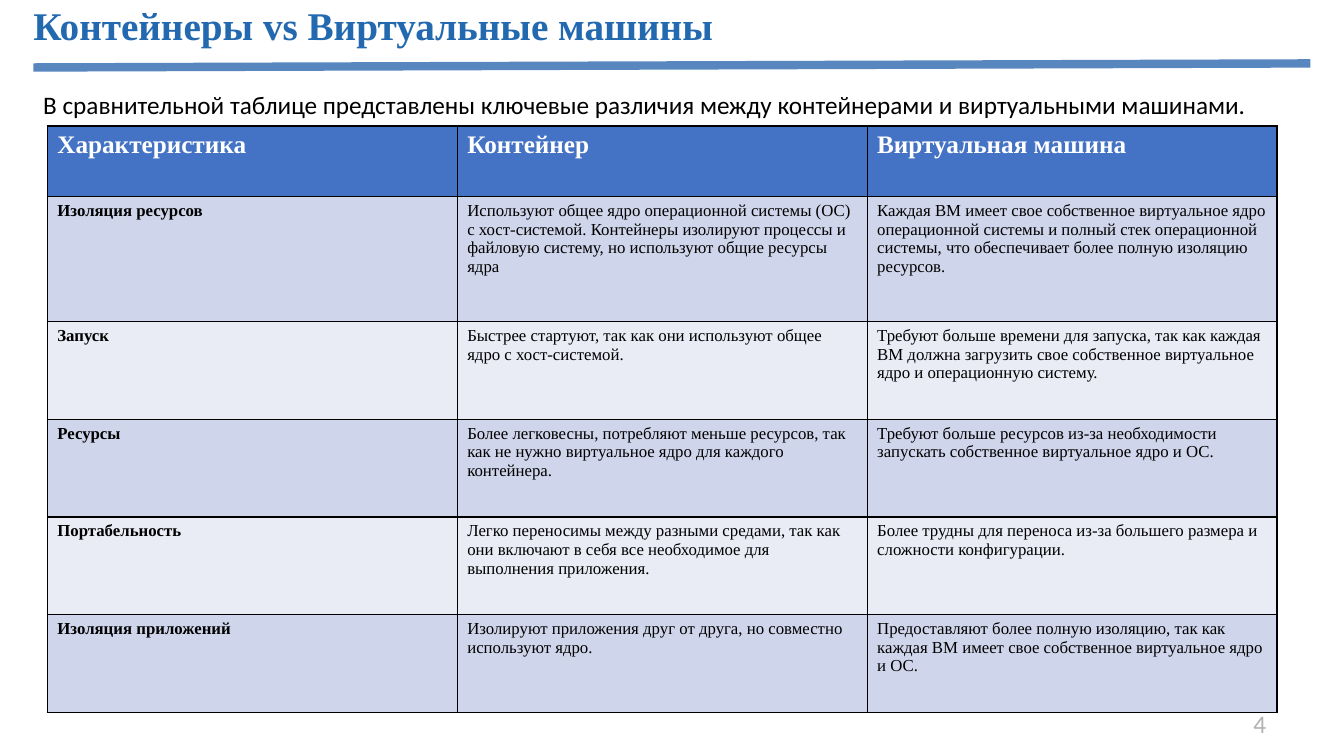
import pptx
import pptx.dml.color
import pptx.enum.shapes
import pptx.enum.text
import pptx.oxml.ns
import pptx.util
from lxml import etree

Pt = pptx.util.Pt
RGBColor = pptx.dml.color.RGBColor
ALIGN = pptx.enum.text.PP_ALIGN

TITLE_BLUE = RGBColor(0x23, 0x69, 0xB0)
RULE_BLUE = RGBColor(0x58, 0x87, 0xC0)
HEADER_BLUE = RGBColor(0x44, 0x72, 0xC4)
BAND_DARK = RGBColor(0xCF, 0xD5, 0xEA)
BAND_LIGHT = RGBColor(0xE9, 0xEB, 0xF5)
NUMBER_GREY = RGBColor(0xB2, 0xB2, 0xB2)
BLACK = RGBColor(0, 0, 0)
WHITE = RGBColor(0xFF, 0xFF, 0xFF)
SERIF, SANS = "Times New Roman", "Calibri"

HEADER_HEIGHT = 50.4
ROW_HEIGHTS = [HEADER_HEIGHT, 89.3, 69.8, 69.8, 69.8, 69.8]
COMPARISON = [
    ("Характеристика", "Контейнер", "Виртуальная машина"),
    ("Изоляция ресурсов",
     "Используют общее ядро операционной системы (ОС) с хост-системой. Контейнеры "
     "изолируют процессы и файловую систему, но используют общие ресурсы ядра",
     "Каждая ВМ имеет свое собственное виртуальное ядро операционной системы и полный "
     "стек операционной системы, что обеспечивает более полную изоляцию ресурсов."),
    ("Запуск",
     "Быстрее стартуют, так как они используют общее ядро с хост-системой.",
     "Требуют больше времени для запуска, так как каждая ВМ должна загрузить свое "
     "собственное виртуальное ядро и операционную систему."),
    ("Ресурсы",
     "Более легковесны, потребляют меньше ресурсов, так как не нужно виртуальное ядро "
     "для каждого контейнера.",
     "Требуют больше ресурсов из-за необходимости запускать собственное виртуальное "
     "ядро и ОС."),
    ("Портабельность",
     "Легко переносимы между разными средами, так как они включают в себя все "
     "необходимое для выполнения приложения.",
     "Более трудны для переноса из-за большего размера и сложности конфигурации."),
    ("Изоляция приложений",
     "Изолируют приложения друг от друга, но совместно используют ядро.",
     "Предоставляют более полную изоляцию, так как каждая ВМ имеет свое собственное "
     "виртуальное ядро и ОС."),
]


def write(frame, text, size, font, color, bold=False):
    frame.text = text
    para = frame.paragraphs[0]
    style = para.runs[0].font
    style.size, style.name, style.bold = Pt(size), font, bold
    style.color.rgb = color
    return para


def add_text(page, box, text, size, font, color, bold=False):
    frame = page.shapes.add_textbox(*map(Pt, box)).text_frame
    frame.word_wrap = True
    return frame, write(frame, text, size, font, color, bold)


def add_heading(page, box):
    """Title at the top of the box and a slightly rising rule at its bottom."""
    left, top, width, height = box
    frame, para = add_text(page, (left, top, 684, 33.8),
                           "Контейнеры vs Виртуальные машины", 28, SERIF, TITLE_BLUE, True)
    frame.margin_left = frame.margin_top = frame.margin_right = frame.margin_bottom = 0
    para.space_before = Pt(7.9)

    bottom = top + height
    rule = page.shapes.add_connector(pptx.enum.shapes.MSO_CONNECTOR.STRAIGHT,
                                     Pt(left), Pt(bottom), Pt(left + width), Pt(bottom - 2.9))
    rule.line.color.rgb = RULE_BLUE
    rule.line.width = Pt(6)
    etree.SubElement(rule._element.spPr, pptx.oxml.ns.qn("a:effectLst"))


def add_borders(cell):
    """Thin black line on all four sides; lines must precede the fill."""
    properties = cell._tc.get_or_add_tcPr()
    for position, side in enumerate(("a:lnL", "a:lnR", "a:lnT", "a:lnB")):
        line = etree.Element(pptx.oxml.ns.qn(side), w=str(Pt(1)))
        fill = etree.SubElement(line, pptx.oxml.ns.qn("a:solidFill"))
        etree.SubElement(fill, pptx.oxml.ns.qn("a:srgbClr"), val=str(BLACK))
        properties.insert(position, line)


def add_comparison(page, box):
    table = page.shapes.add_table(len(COMPARISON), len(COMPARISON[0]), *map(Pt, box)).table
    for column in table.columns:
        column.width = Pt(box[2] / len(table.columns))
    for row_index, texts in enumerate(COMPARISON):
        table.rows[row_index].height = Pt(ROW_HEIGHTS[row_index])
        header = row_index == 0
        band = HEADER_BLUE if header else BAND_DARK if row_index % 2 else BAND_LIGHT
        for column_index, text in enumerate(texts):
            cell = table.cell(row_index, column_index)
            cell.fill.solid()
            cell.fill.fore_color.rgb = band
            write(cell.text_frame, text, 18 if header else 12, SERIF,
                  WHITE if header else BLACK, header or column_index == 0)
            add_borders(cell)


def add_page_number(page, box):
    para = add_text(page, box, "4", 18, SANS, NUMBER_GREY)[1]
    para.alignment = ALIGN.RIGHT


def add_intro(page, box):
    add_text(page, box, "В сравнительной таблице представлены ключевые различия между "
             "контейнерами и виртуальными машинами.", 18, SANS, BLACK)


def main():
    deck = pptx.Presentation()
    deck.slide_width, deck.slide_height = Pt(960), Pt(540)
    page = deck.slides.add_slide(deck.slide_layouts[6])
    add_heading(page, (23.8, 0.7, 912.2, 47.5))
    add_page_number(page, (691.2, 502.6, 220.3, 26.6))
    add_comparison(page, (33.8, 90, 878.4, sum(ROW_HEIGHTS)))
    add_intro(page, (23.8, 60.5, 917.3, 51.1))
    deck.save("out.pptx")


if __name__ == "__main__":
    main()
